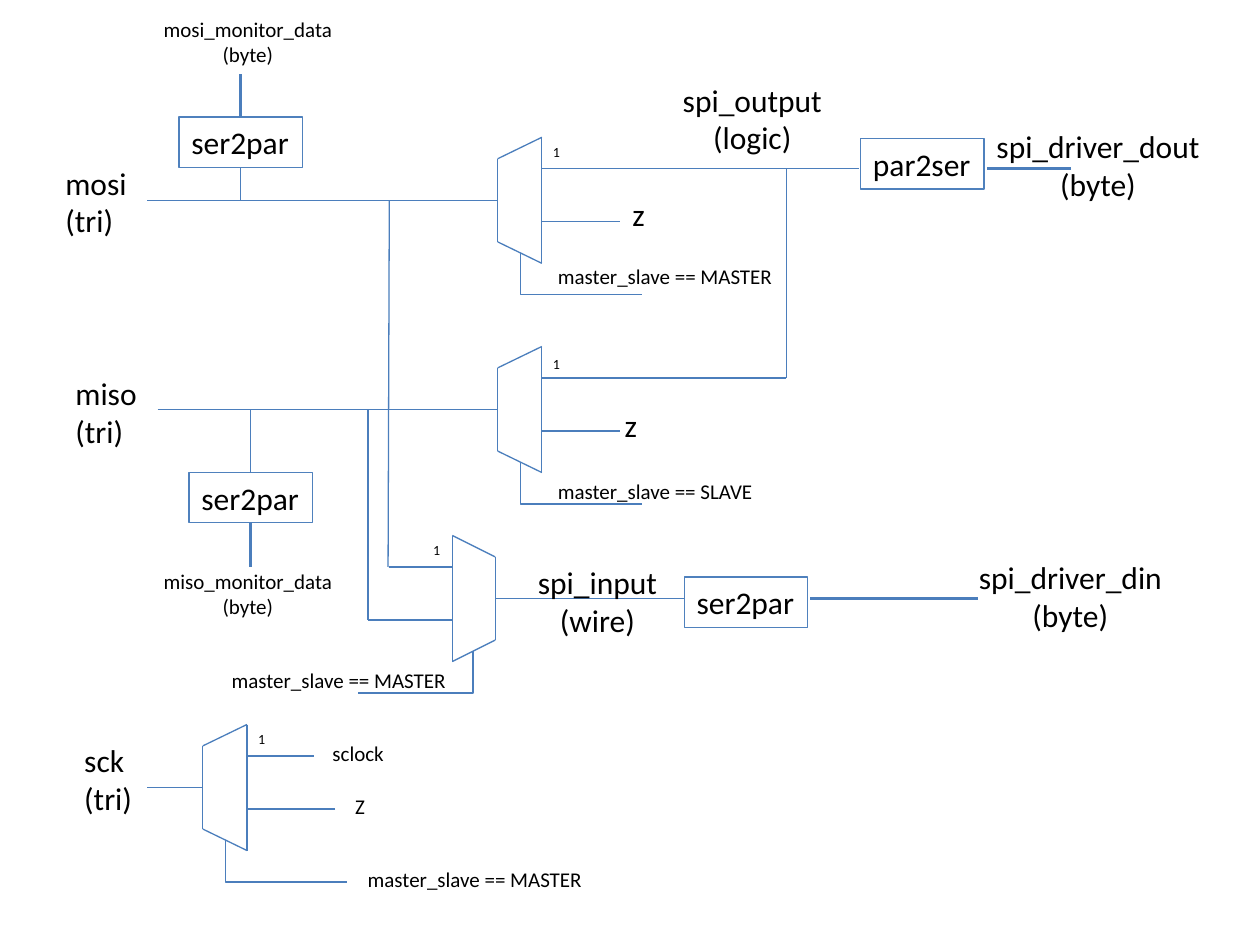
from typing import NamedTuple

import pptx
import pptx.dml.color
import pptx.enum.shapes
import pptx.enum.text
import pptx.oxml.ns
import pptx.util
from lxml import etree
from pptx.util import Inches

WIRE, BORDER, INK = "4B7EBC", "4F81BD", "000000"
FONT = "Calibri"
THIN, BUS = 0.75, 1.5
BLOCK_WIDTH, BLOCK_HEIGHT = 0.98, 0.4
TOP_SIDE, BOTTOM_SIDE = 0, 2
CONNECTOR = pptx.enum.shapes.MSO_CONNECTOR
ALIGN = pptx.enum.text.PP_ALIGN


class Mux(NamedTuple):
    top: float
    wide_x: float
    narrow_x: float
    output: float = 0.44
    first_input: float = 0.53
    second_input: float = 0.62
    select: float = 0.97


class Wire(NamedTuple):
    x1: float
    y1: float
    x2: float
    y2: float
    weight: float = THIN


class Tap(NamedTuple):
    """A vertical wire from the middle of a block's side."""
    side: int
    end_y: float
    weight: float


class Block(NamedTuple):
    text: str
    left: float
    top: float
    taps: tuple[Tap, ...] = ()


class Label(NamedTuple):
    lines: tuple[str, ...]
    left: float
    top: float
    width: float
    size: int = 18
    centred: bool = False


MUXES = [
    Mux(1.09, 4.3, 3.95),
    Mux(2.75, 4.3, 3.95),
    Mux(4.25, 3.59, 3.93, 0.41, 0.5, 0.58, 0.92),
    Mux(5.75, 1.96, 1.61),
]

WIRES = [
    Wire(1.17, 1.59, 3.68, 1.59),
    Wire(1.25, 3.25, 3.93, 3.25),
    Wire(3.09, 1.59, 3.08, 4.5),
    Wire(2.92, 3.25, 2.92, 4.92),
    Wire(2.92, 4.92, 3.08, 4.92),
    Wire(4.75, 1.34, 6.82, 1.34),
    Wire(4.67, 3, 6.24, 3),
    Wire(6.24, 3, 6.24, 1.34),
    Wire(8.5, 1.34, 7.83, 1.34, BUS),
    Wire(4.09, 4.75, 5.43, 4.75),
    Wire(6.43, 4.75, 7.76, 4.75, BUS),
    Wire(2.66, 6.42, 2.49, 6.42),
]

BLOCKS = [
    Block("ser2par", 1.42, 0.93,
          (Tap(TOP_SIDE, 0.59, BUS), Tap(BOTTOM_SIDE, 1.59, THIN))),
    Block("ser2par", 1.5, 3.75,
          (Tap(TOP_SIDE, 3.25, THIN), Tap(BOTTOM_SIDE, 4.5, BUS))),
    Block("ser2par", 5.43, 4.58),
    Block("par2ser", 6.83, 1.1),
]

LABELS = [
    Label(("mosi", "(tri)"), 0.42, 1.25, 0.69),
    Label(("miso", "(tri)"), 0.5, 2.92, 0.71),
    Label(("sck", "(tri)"), 0.57, 5.83, 0.61),
    Label(("mosi_monitor_data", "(byte)"), 1.2, 0.08, 1.55, 12, True),
    Label(("miso_monitor_data", "(byte)"), 1.2, 4.46, 1.55, 12, True),
    Label(("spi_output", "(logic)"), 5.32, 0.59, 1.32, centred=True),
    Label(("spi_input", "(wire)"), 4.17, 4.42, 1.18, centred=True),
    Label(("spi_driver_dout", "(byte)"), 7.81, 0.96, 1.85, centred=True),
    Label(("spi_driver_din", "(byte)"), 7.67, 4.38, 1.67, centred=True),
    Label(("z",), 4.92, 1.5, 0.3),
    Label(("z",), 4.86, 3.17, 0.3),
    Label(("Z",), 2.72, 6.25, 0.29, 12),
    Label(("sclock",), 2.54, 5.83, 0.65, 12),
    Label(("master_slave == MASTER",), 4.33, 2.04, 1.92, 12),
    Label(("master_slave == SLAVE",), 4.33, 3.75, 1.76, 12),
    Label(("master_slave == MASTER",), 1.74, 5.25, 1.92, 12),
    Label(("master_slave == MASTER",), 2.82, 6.83, 2.01, 12),
    Label(("1",), 4.29, 1.09, 0.27, 8),
    Label(("1",), 4.29, 2.77, 0.27, 8),
    Label(("1",), 3.34, 4.25, 0.26, 8),
    Label(("1",), 1.95, 5.75, 0.27, 8),
]


def set_colour(colour_format, value: str) -> None:
    colour_format.rgb = pptx.dml.color.RGBColor.from_string(value)


def draw_wire(slide, wire: Wire, kind=CONNECTOR.STRAIGHT):
    connector = slide.shapes.add_connector(
        kind, Inches(wire.x1), Inches(wire.y1), Inches(wire.x2), Inches(wire.y2))
    set_colour(connector.line.color, WIRE)
    connector.line.width = pptx.util.Pt(wire.weight)
    properties = connector._element.spPr
    etree.SubElement(properties, pptx.oxml.ns.qn("a:effectLst"))
    return connector


def draw_select(slide, wire: Wire) -> None:
    """Draw an elbow whose bend lies almost at its start."""
    connector = draw_wire(slide, wire, CONNECTOR.ELBOW)
    geometry = connector._element.spPr.find(pptx.oxml.ns.qn("a:prstGeom"))
    adjustments = geometry.find(pptx.oxml.ns.qn("a:avLst"))
    if adjustments is None:
        adjustments = etree.SubElement(geometry, pptx.oxml.ns.qn("a:avLst"))
    etree.SubElement(adjustments, pptx.oxml.ns.qn("a:gd"), name="adj1", fmla="val 600")


def draw_mux(slide, mux: Mux) -> None:
    outward = 1 if mux.wide_x > mux.narrow_x else -1
    wide, narrow, top = mux.wide_x, mux.narrow_x, mux.top
    corners = [(wide, top), (wide, top + 1), (narrow, top + 0.83), (narrow, top + 0.17)]
    for start, end in zip(corners, corners[1:] + corners[:1]):
        draw_wire(slide, Wire(*start, *end))
    for x, offset, reach in ((narrow, 0.5, -mux.output),
                             (wide, 0.25, mux.first_input),
                             (wide, 0.67, mux.second_input)):
        draw_wire(slide, Wire(x, top + offset, x + outward * reach, top + offset))
    middle = (wide + narrow) / 2
    draw_select(slide, Wire(middle, top + 0.92, middle + outward * mux.select, top + 1.25))


def write_lines(shape, lines: tuple[str, ...], size: int, centred: bool = False) -> None:
    """Write one paragraph a line; centring applies after the first line."""
    frame = shape.text_frame
    frame.word_wrap = False
    frame.auto_size = pptx.enum.text.MSO_AUTO_SIZE.SHAPE_TO_FIT_TEXT
    frame.vertical_anchor = pptx.enum.text.MSO_ANCHOR.TOP
    for index, line in enumerate(lines):
        paragraph = frame.add_paragraph() if index else frame.paragraphs[0]
        paragraph.alignment = ALIGN.CENTER if centred and index else ALIGN.LEFT
        run = paragraph.add_run()
        run.text = line
        run.font.name = FONT
        run.font.size = pptx.util.Pt(size)
        set_colour(run.font.color, INK)


def draw_label(slide, label: Label) -> None:
    height = 0.1 + len(label.lines) * label.size * 1.2 / 72
    box = slide.shapes.add_textbox(
        Inches(label.left), Inches(label.top), Inches(label.width), Inches(height))
    write_lines(box, label.lines, label.size, label.centred)


def draw_block(slide, block: Block) -> None:
    shape = slide.shapes.add_shape(
        pptx.enum.shapes.MSO_SHAPE.RECTANGLE, Inches(block.left), Inches(block.top),
        Inches(BLOCK_WIDTH), Inches(BLOCK_HEIGHT))
    shape.shadow.inherit = False
    shape.fill.background()
    set_colour(shape.line.color, BORDER)
    shape.line.width = pptx.util.Pt(THIN)
    write_lines(shape, (block.text,), 18)
    middle = block.left + BLOCK_WIDTH / 2
    for tap in block.taps:
        start_y = block.top + (BLOCK_HEIGHT if tap.side == BOTTOM_SIDE else 0)
        connector = draw_wire(slide, Wire(middle, start_y, middle, tap.end_y, tap.weight))
        connector.begin_connect(shape, tap.side)


def main() -> None:
    presentation = pptx.Presentation()
    presentation.slide_width, presentation.slide_height = Inches(10), Inches(7.5)
    slide = presentation.slides.add_slide(presentation.slide_layouts[6])
    for draw, items in ((draw_mux, MUXES), (draw_wire, WIRES),
                        (draw_block, BLOCKS), (draw_label, LABELS)):
        for item in items:
            draw(slide, item)
    presentation.save("out.pptx")


if __name__ == "__main__":
    main()
